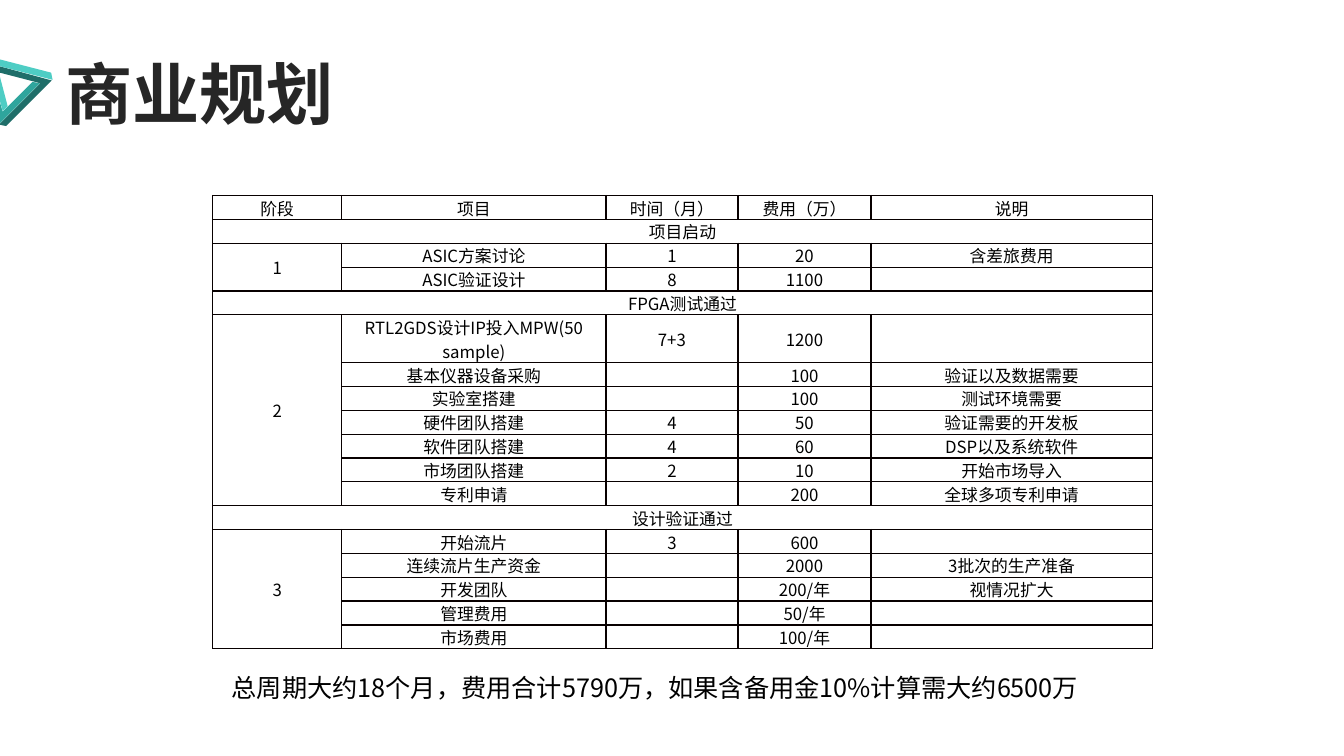
from pptx import Presentation
from pptx.dml.color import RGBColor
from pptx.enum.text import MSO_ANCHOR, MSO_AUTO_SIZE, PP_ALIGN
from pptx.oxml import parse_xml
from pptx.oxml.ns import nsdecls, qn
from pptx.util import Pt
from lxml.etree import SubElement

PX = 9144
FONT = "Noto Sans CJK SC"
INK = RGBColor(0x26, 0x26, 0x26)
BLACK = RGBColor(0x00, 0x00, 0x00)
BORDER = RGBColor(0x08, 0x00, 0x00)
TEAL = RGBColor(0x2F, 0xA5, 0x9D)
DARK_TEAL = RGBColor(0x1F, 0x6E, 0x69)
LIGHT_TEAL = RGBColor(0x4E, 0xCD, 0xC4)

TRIANGLE = [
    (TEAL, -29, 55, [(39, 0), (31, 0), (0, 56), (57, 56), (53, 50), (11, 50)]),
    (DARK_TEAL, -24, 62, [(40, 0), (37, 7), (54, 36), (58, 43), (0, 43), (4, 49), (68, 49)]),
    (LIGHT_TEAL, -19, 45, [(28, 0), (0, 49), (7, 49), (28, 13), (57, 62), (61, 56)]),
]

COLUMNS = [128, 262, 131, 132, 279]
HEADER = ["阶段", "项目", "时间（月）", "费用（万）", "说明"]
STAGES = [
    ("项目启动", "1", [
        ("ASIC方案讨论", "1", "20", "含差旅费用"),
        ("ASIC验证设计", "8", "1100", ""),
    ]),
    ("FPGA测试通过", "2", [
        ("RTL2GDS设计IP投入MPW(50 sample)", "7+3", "1200", ""),
        ("基本仪器设备采购", "", "100", "验证以及数据需要"),
        ("实验室搭建", "", "100", "测试环境需要"),
        ("硬件团队搭建", "4", "50", "验证需要的开发板"),
        ("软件团队搭建", "4", "60", "DSP以及系统软件"),
        ("市场团队搭建", "2", "10", "开始市场导入"),
        ("专利申请", "", "200", "全球多项专利申请"),
    ]),
    ("设计验证通过", "3", [
        ("开始流片", "3", "600", ""),
        ("连续流片生产资金", "", "2000", "3批次的生产准备"),
        ("开发团队", "", "200/年", "视情况扩大"),
        ("管理费用", "", "50/年", ""),
        ("市场费用", "", "100/年", ""),
    ]),
]


def write(tf, text, size=12, color=BLACK, bold=False, align=None):
    p = tf.paragraphs[0]
    p.alignment = align
    if not text:
        SubElement(p._p, qn("a:endParaRPr"), sz=str(size * 100))
        return
    r = p.add_run()
    r.text = text
    r.font.size = Pt(size)
    r.font.bold = bold
    r.font.name = FONT
    r.font.color.rgb = color
    SubElement(r._r.get_or_add_rPr(), qn("a:ea"), typeface=FONT)


class Deck:
    def __init__(self, width, height):
        self.prs = Presentation()
        self.prs.slide_width = width * PX
        self.prs.slide_height = height * PX
        self.slide = self.prs.slides.add_slide(self.prs.slide_layouts[6])

    def text(self, x, y, w, h, text, **style):
        s = self.slide.shapes.add_textbox(x * PX, y * PX, w * PX, h * PX)
        tf = s.text_frame
        tf.word_wrap = True
        tf.auto_size = MSO_AUTO_SIZE.SHAPE_TO_FIT_TEXT
        write(tf, text, **style)

    def outline(self, x, y, points, color, rotation):
        (x0, y0), *rest = [(x + dx, y + dy) for dx, dy in points]
        builder = self.slide.shapes.build_freeform(x0, y0, scale=PX)
        builder.add_line_segments(rest)
        s = builder.convert_to_shape()
        s.shadow.inherit = False
        s.rotation = rotation
        s.fill.solid()
        s.fill.fore_color.rgb = color
        s.line.fill.background()

    def table(self, x, y, height, columns, rows, tall):
        line = height * PX // (len(rows) + 1)
        frame = self.slide.shapes.add_table(
            len(rows), len(columns), x * PX, y * PX, sum(columns) * PX, height * PX)
        table = frame.table
        table.first_row = table.horz_banding = False
        for column, width in zip(table.columns, columns):
            column.width = width * PX
        for i, values in enumerate(rows):
            table.rows[i].height = line * (2 if i == tall else 1)
            for j, value in enumerate(values):
                self.cell(table.cell(i, j), value)
        return table

    def cell(self, cell, value):
        cell.margin_left = cell.margin_right = 7 * PX
        cell.margin_top = cell.margin_bottom = 0
        cell.vertical_anchor = MSO_ANCHOR.MIDDLE
        write(cell.text_frame, value, align=PP_ALIGN.CENTER)
        for side in ("lnL", "lnR", "lnT", "lnB"):
            cell._tc.get_or_add_tcPr().append(parse_xml(
                f'<a:{side} {nsdecls("a")} w="{Pt(1)}"><a:solidFill>'
                f'<a:srgbClr val="{BORDER}"/></a:solidFill></a:{side}>'))
        cell.fill.background()


def main():
    deck = Deck(1333, 750)
    deck.text(55, 47, 1181, 91, "商业规划", size=48, color=INK, bold=True)
    for color, x, y, points in TRIANGLE:
        deck.outline(x, y, points, color, rotation=315)

    rows, merges = [HEADER], []
    for milestone, stage, items in STAGES:
        top = len(rows)
        rows.append([milestone, "", "", "", ""])
        rows += [[stage if k == 0 else "", *item] for k, item in enumerate(items)]
        merges += [(top, 0, top, 4), (top + 1, 0, top + len(items), 0)]
    table = deck.table(211, 194, 450, COLUMNS, rows, tall=5)
    for top, left, bottom, right in merges:
        table.cell(top, left).merge(table.cell(bottom, right))

    deck.text(220, 662, 1003, 40,
              "总周期大约18个月，费用合计5790万，如果含备用金10%计算需大约6500万", size=18)
    deck.prs.save("out.pptx")


if __name__ == "__main__":
    main()
